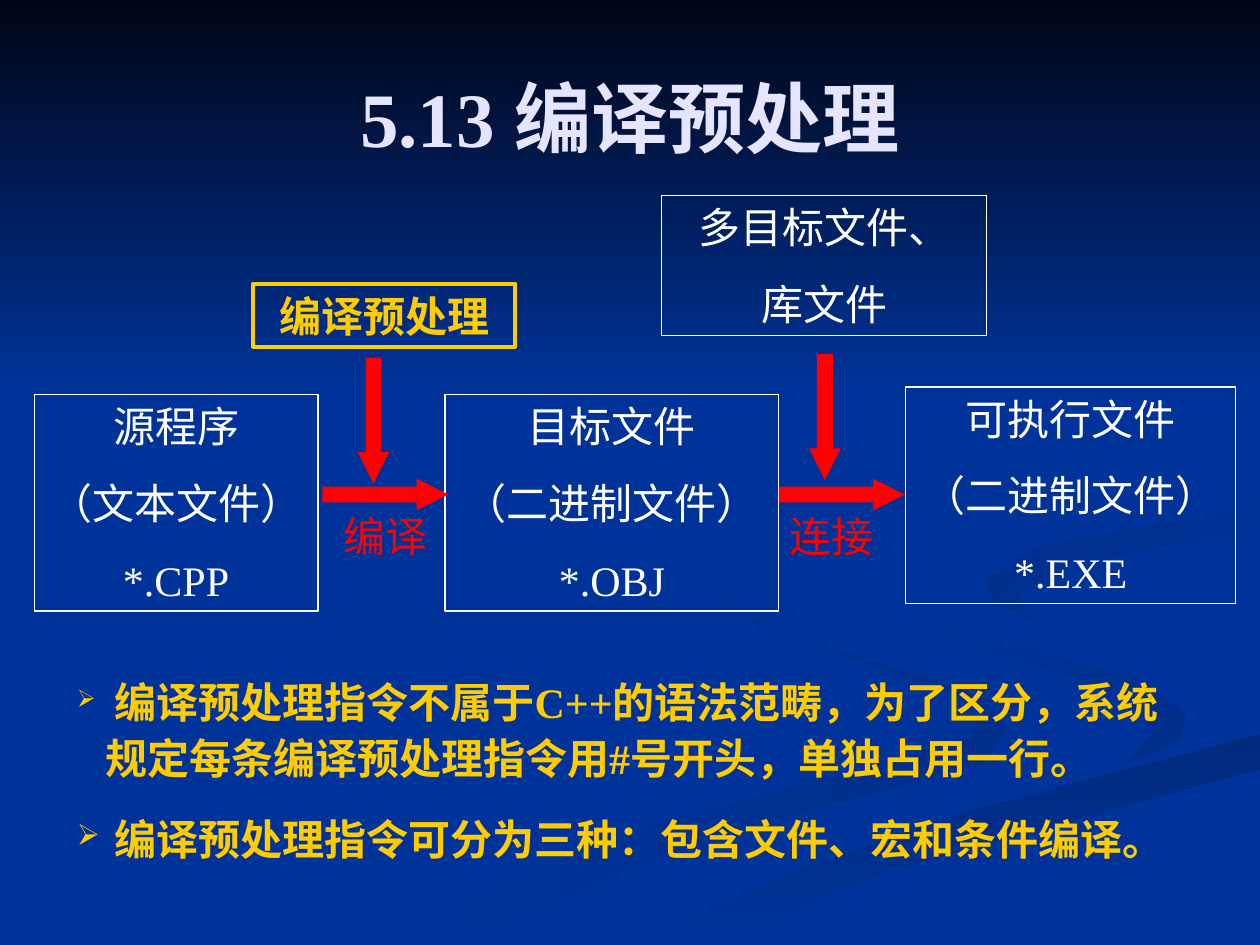
from dataclasses import dataclass

from lxml import etree
from pptx import Presentation
from pptx.dml.color import RGBColor
from pptx.enum.shapes import MSO_SHAPE
from pptx.enum.text import MSO_ANCHOR, MSO_AUTO_SIZE, PP_ALIGN
from pptx.oxml.ns import qn
from pptx.util import Cm, Pt

RECTANGLE = MSO_SHAPE.RECTANGLE
DOWN, RIGHT = MSO_SHAPE.DOWN_ARROW, MSO_SHAPE.RIGHT_ARROW
CENTER, LEFT = PP_ALIGN.CENTER, PP_ALIGN.LEFT
TOP, MIDDLE = MSO_ANCHOR.TOP, MSO_ANCHOR.MIDDLE
FIT_SHAPE, NO_FIT = MSO_AUTO_SIZE.SHAPE_TO_FIT_TEXT, MSO_AUTO_SIZE.NONE


@dataclass(frozen=True)
class Theme:
    font: str = "Times New Roman"
    title_size: float = 44
    body_size: float = 24
    paragraph_gap: float = 15
    background: str = "003399"
    night: str = "000514"
    shade: str = "002E8B"
    deep_shade: str = "002A7D"
    title: str = "E5E5FF"
    text: str = "FFFFFF"
    accent: str = "FFCC00"
    flow: str = "FF0000"


THEME = Theme()


@dataclass(frozen=True)
class Ribbon:
    """A background curve; points in centimetres."""
    start: str
    end: str
    angle: float
    points: tuple[tuple[float, float], ...]


@dataclass(frozen=True)
class Stage:
    """A framed step; lengths in centimetres."""
    lines: tuple[str, ...]
    left: float
    top: float
    width: float
    height: float
    color: str = THEME.text
    border: float = 0.75
    bold: bool = False


@dataclass(frozen=True)
class Arrow:
    kind: MSO_SHAPE
    left: float
    top: float


RIBBONS = (
    Ribbon(THEME.background, THEME.shade, 0, (
        (14.6, 11.7), (14.5, 12), (15.3, 12.6), (19, 13.9), (19.9, 14.3), (19.5, 14.9),
        (16.6, 15.7), (11.6, 17.1), (7.6, 19), (9.2, 19), (14.3, 16.9), (19.8, 15.4),
        (20.3, 14.7), (19.7, 14), (15.6, 12.7), (14.6, 12))),
    Ribbon(THEME.background, THEME.shade, 45, (
        (18.4, 11.8), (18.6, 12.4), (19.5, 13), (22.4, 13.9), (23.3, 14.7), (22.7, 15.4),
        (23.8, 14.9), (23.9, 14.4), (23, 13.7), (19.3, 12.7))),
    Ribbon(THEME.deep_shade, THEME.background, 90, (
        (12.8, 19), (14.5, 19), (17.7, 17.6), (25.4, 15.5), (25.4, 14.8), (19.4, 16.4),
        (16, 17.6))),
    Ribbon(THEME.shade, THEME.background, 45, (
        (19.8, 11.7), (20.1, 12.2), (21, 12.6), (20.5, 12), (21.4, 11.4), (25.4, 10.7),
        (25.4, 10.2), (21, 11))),
    Ribbon(THEME.night, THEME.background, 90,
           ((0, 0), (0, 7.82), (25.4, 7.82), (25.4, 0))),
)

STAGES = (
    Stage(("源程序", "（文本文件）", "*.CPP"), 0.69, 7.95, 5.72, 4.37),
    Stage(("目标文件", "（二进制文件）", "*.OBJ"), 8.97, 7.95, 6.73, 4.37),
    Stage(("可执行文件", "（二进制文件）", "*.EXE"), 18.26, 7.8, 6.65, 4.37),
    Stage(("多目标文件、", "库文件"), 13.34, 3.94, 6.55, 2.82),
    Stage(("编译预处理",), 5.11, 5.72, 5.28, 1.27, THEME.accent, 2.25, True),
)
ARROWS = (Arrow(DOWN, 7.21, 7.21), Arrow(DOWN, 16.31, 7.14),
          Arrow(RIGHT, 6.5, 9.65), Arrow(RIGHT, 15.7, 9.65))
ARROW_LENGTH, ARROW_WIDTH = 2.54, 0.64
STEP_LABELS = (("编译", 6.71), ("连接", 15.7))
# Each note comes with its bullet size in percent
NOTES = (
    (" 编译预处理指令不属于C++的语法范畴，为了区分，系统规定每条编译预处理指令用#号开头，单独占用一行。", 58),
    (" 编译预处理指令可分为三种：包含文件、宏和条件编译。", 70),
)


def write(frame, lines, *, color, size=THEME.body_size, bold=False, align=CENTER,
          anchor=TOP, insets=(0.25, 0.13), fit=FIT_SHAPE, spacing=None, bullets=()):
    frame.word_wrap = True
    frame.auto_size = fit
    frame.vertical_anchor = anchor
    frame.margin_left = frame.margin_right = Cm(insets[0])
    frame.margin_top = frame.margin_bottom = Cm(insets[1])
    for index, line in enumerate(lines):
        paragraph = frame.paragraphs[0] if index == 0 else frame.add_paragraph()
        if bullets:
            add_bullet(paragraph, bullets[index])
        paragraph.alignment = align
        if index:
            paragraph.space_before = Pt(THEME.paragraph_gap)
        if spacing:
            paragraph.line_spacing = spacing
        run = paragraph.add_run()
        run.text = line
        run.font.name, run.font.size, run.font.bold = THEME.font, Pt(size), bold
        run.font.color.rgb = RGBColor.from_string(color)


def add_bullet(paragraph, percent: int) -> None:
    properties = paragraph._p.get_or_add_pPr()
    properties.set("marL", str(Cm(0.57)))
    properties.set("indent", str(-Cm(0.57)))
    bullet_color = etree.SubElement(properties, qn("a:buClr"))
    etree.SubElement(bullet_color, qn("a:srgbClr"), val=THEME.accent)
    etree.SubElement(properties, qn("a:buSzPct"), val=str(percent * 1000))
    etree.SubElement(properties, qn("a:buChar"), char="➢")


def add_text(slide, lines, left: float, top: float, width: float, height: float, **style):
    box = slide.shapes.add_textbox(Cm(left), Cm(top), Cm(width), Cm(height))
    write(box.text_frame, lines, **style)


def draw_ribbon(slide, ribbon: Ribbon) -> None:
    first, *rest = [(Cm(x), Cm(y)) for x, y in ribbon.points]
    builder = slide.shapes.build_freeform(*first)
    builder.add_line_segments(rest, close=True)
    curve = builder.convert_to_shape()
    curve.shadow.inherit = False
    curve.line.fill.background()
    curve.fill.gradient()
    curve.fill.gradient_angle = -ribbon.angle % 360
    for stop, color in zip(curve.fill.gradient_stops, (ribbon.start, ribbon.end)):
        stop.color.rgb = RGBColor.from_string(color)


def draw_stage(slide, stage: Stage) -> None:
    frame = slide.shapes.add_shape(RECTANGLE, Cm(stage.left), Cm(stage.top),
                                   Cm(stage.width), Cm(stage.height))
    frame.shadow.inherit = False
    frame.fill.background()
    frame.line.color.rgb = RGBColor.from_string(stage.color)
    frame.line.width = Pt(stage.border)
    write(frame.text_frame, stage.lines, color=stage.color, bold=stage.bold)


def draw_arrow(slide, arrow: Arrow) -> None:
    size = (ARROW_WIDTH, ARROW_LENGTH) if arrow.kind == DOWN else (ARROW_LENGTH, ARROW_WIDTH)
    pointer = slide.shapes.add_shape(arrow.kind, Cm(arrow.left), Cm(arrow.top), *map(Cm, size))
    pointer.adjustments[0], pointer.adjustments[1] = 0.5, 1
    pointer.shadow.inherit = False
    pointer.fill.solid()
    pointer.fill.fore_color.rgb = RGBColor.from_string(THEME.flow)
    pointer.line.fill.background()


def main() -> None:
    deck = Presentation()
    deck.slide_width, deck.slide_height = Cm(25.4), Cm(19.05)
    slide = deck.slides.add_slide(deck.slide_layouts[6])

    # Background
    slide.background.fill.solid()
    slide.background.fill.fore_color.rgb = RGBColor.from_string(THEME.background)
    for ribbon in RIBBONS:
        draw_ribbon(slide, ribbon)

    # Title
    add_text(slide, ["5.13 编译预处理"], 1.27, 0.76, 22.86, 3.18, color=THEME.title,
             size=THEME.title_size, bold=True, anchor=MIDDLE, fit=NO_FIT)

    # Build flow
    for stage in STAGES:
        draw_stage(slide, stage)
    for arrow in ARROWS:
        draw_arrow(slide, arrow)
    for label, left in STEP_LABELS:
        add_text(slide, [label], left, 10.29, 2.11, 1.02, color=THEME.flow, insets=(0, 0))

    # Notes
    notes, bullet_sizes = zip(*NOTES)
    add_text(slide, notes, 1.5, 13.51, 22.61, 3.94, color=THEME.accent, bold=True, align=LEFT,
             insets=(0.05, 0.03), spacing=1.1, bullets=bullet_sizes)

    deck.save("out.pptx")


if __name__ == "__main__":
    main()
